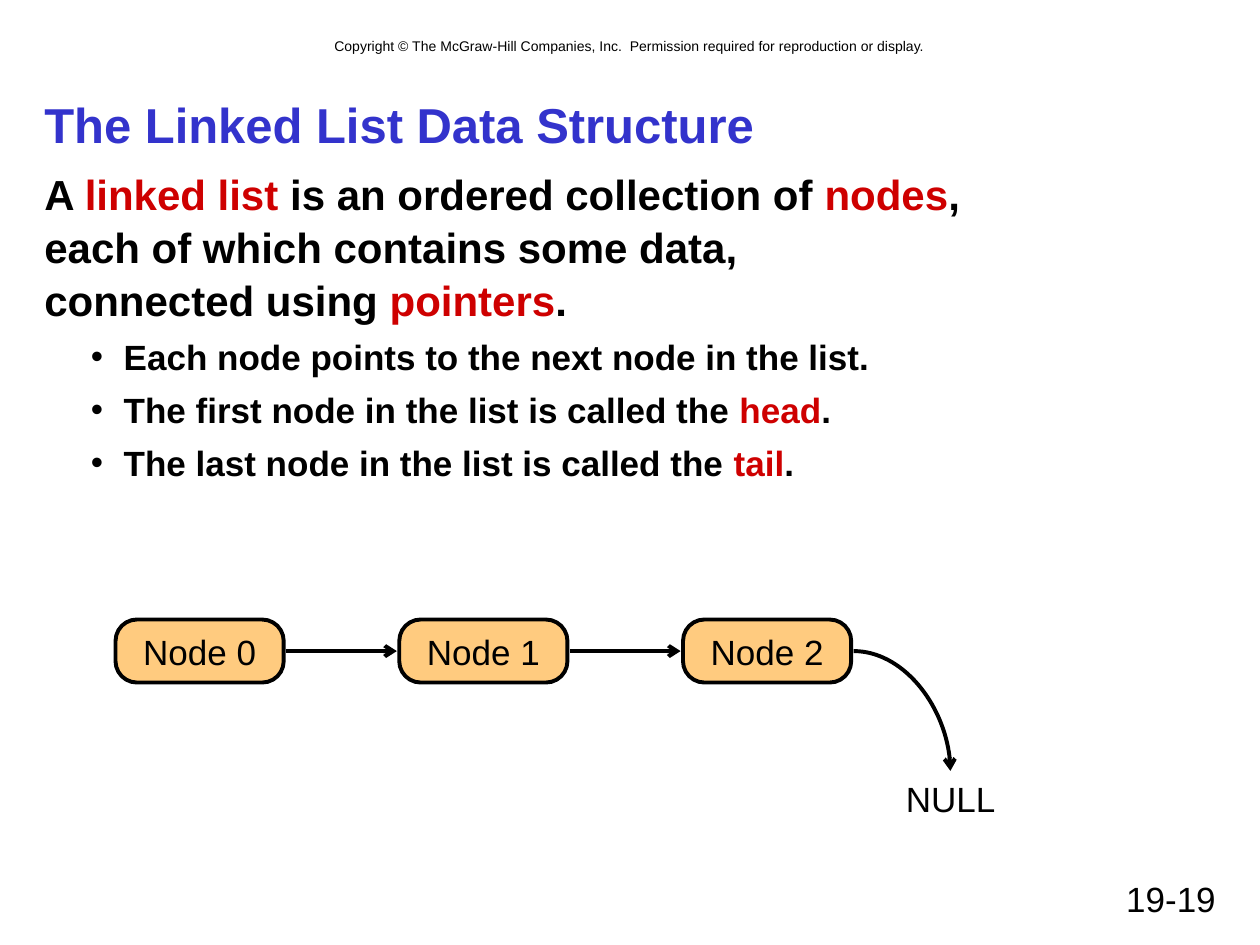
from dataclasses import dataclass
from lxml.etree import SubElement
from pptx import Presentation
from pptx.dml.color import RGBColor
from pptx.enum.shapes import MSO_CONNECTOR, MSO_SHAPE
from pptx.enum.text import MSO_ANCHOR, MSO_AUTO_SIZE, PP_ALIGN
from pptx.oxml.ns import qn
from pptx.util import Cm, Pt


@dataclass(frozen=True)
class Theme:
    font: str = "Arial"
    ink: RGBColor = RGBColor(0x00, 0x00, 0x00)
    title: RGBColor = RGBColor(0x33, 0x33, 0xCC)
    key: RGBColor = RGBColor(0xCE, 0x00, 0x00)
    node: RGBColor = RGBColor(0xFF, 0x99, 0x00)
    title_size: int = 28
    body_size: int = 24
    text_size: int = 20
    small_size: int = 8
    line: float = 2.25


T = Theme()


def add_run(p, text, size=T.text_size, color=T.ink, bold=False):
    r = p.add_run()
    r.text = text
    r.font.name, r.font.size, r.font.bold = T.font, Pt(size), bold
    r.font.color.rgb = color


def finish_line(c, preset):
    c.line.color.rgb, c.line.width = T.ink, Pt(T.line)
    SubElement(c.line._get_or_add_ln(), qn("a:tailEnd"), type="arrow")
    sp_pr = c._element.spPr
    sp_pr.find(qn("a:prstGeom")).set("prst", preset)
    SubElement(sp_pr, qn("a:effectLst"))


prs = Presentation()
prs.slide_width, prs.slide_height = Cm(25.4), Cm(19.05)
s = prs.slides.add_slide(prs.slide_layouts[1])

# Title
title = s.shapes.title
title.left, title.top, title.width, title.height = Cm(0.64), Cm(1.69), Cm(24.13), Cm(1.48)
tf = title.text_frame
tf.auto_size = MSO_AUTO_SIZE.NONE
tf.vertical_anchor = MSO_ANCHOR.MIDDLE
tf.margin_top, tf.margin_bottom = Cm(0.25), Cm(0.1)
p = tf.paragraphs[0]
p.alignment = PP_ALIGN.LEFT
add_run(p, "The Linked List Data Structure", T.title_size, T.title, True)

# Definition and bullets: lines of (text, is key term)
definition = [
    [("A ", False), ("linked list", True), (" is an ordered collection of ", False),
     ("nodes", True), (",", False)],
    [("each of which contains some data,", False)],
    [("connected using ", False), ("pointers", True), (".", False)],
]
bullets = [
    [("Each node points to the next node in the list.", False)],
    [("The first node in the list is called the ", False), ("head", True), (".", False)],
    [("The last node in the list is called the ", False), ("tail", True), (".", False)],
]
body = s.placeholders[1]
body.left, body.top, body.width, body.height = Cm(0.64), Cm(3.18), Cm(24.13), Cm(13.76)
tf = body.text_frame
tf.auto_size = MSO_AUTO_SIZE.NONE
tf.margin_top = Cm(0.17)
for i, lines in enumerate([definition] + [[b] for b in bullets]):
    p = tf.add_paragraph() if i else tf.paragraphs[0]
    p.line_spacing = 1.05
    p.space_before = Pt(5 if i else 0)
    p_pr = p._p.get_or_add_pPr()
    p_pr.set("marL", str(Cm(1.6) if i else 0))
    p_pr.set("indent", str(Cm(-0.66) if i else 0))
    if i:
        p.level = 1
        SubElement(p_pr, qn("a:buChar"), char="•")
    else:
        SubElement(p_pr, qn("a:buNone"))
    for n, line in enumerate(lines):
        if n:
            p.add_line_break()
        for text, is_key in line:
            add_run(p, text, T.text_size if i else T.body_size, T.key if is_key else T.ink, True)

# Copyright line, page number and end-of-list label
labels = [
    ("Copyright © The McGraw-Hill Companies, Inc.  Permission required for reproduction or display.",
     1.69, 0.64, 22.01, 0.61, T.small_size, PP_ALIGN.CENTER),
    ("19-19", 18.2, 17.57, 6.56, 1.06, T.text_size, PP_ALIGN.RIGHT),
    ("NULL", 18.01, 15.54, 2.31, 1.11, T.text_size, PP_ALIGN.CENTER),
]
for text, x, y, w, h, size, align in labels:
    tf = s.shapes.add_textbox(Cm(x), Cm(y), Cm(w), Cm(h)).text_frame
    tf.word_wrap = text != "NULL"
    p = tf.paragraphs[0]
    p.alignment = align
    add_run(p, text, size)

# Nodes, each but the last with an arrow to the next
NODES, LEFT, TOP, PITCH, WIDTH, HEIGHT, GAP = 3, 2.33, 12.49, 5.72, 3.39, 1.27, 0.05
mid = TOP + HEIGHT / 2
for i in range(NODES):
    x = LEFT + i * PITCH
    sp = s.shapes.add_shape(MSO_SHAPE.ROUNDED_RECTANGLE, Cm(x), Cm(TOP), Cm(WIDTH), Cm(HEIGHT))
    sp.adjustments[0] = 0.34
    sp.shadow.inherit = False
    sp.fill.solid()
    sp.fill.fore_color.rgb = T.node
    rgb = sp._element.spPr.find(qn("a:solidFill")).find(qn("a:srgbClr"))
    SubElement(rgb, qn("a:alpha"), val="50000")
    sp.line.color.rgb, sp.line.width = T.ink, Pt(T.line)
    tf = sp.text_frame
    tf.word_wrap = False
    tf.vertical_anchor = MSO_ANCHOR.MIDDLE
    p = tf.paragraphs[0]
    p.alignment = PP_ALIGN.CENTER
    add_run(p, f"Node {i}")
    start = x + WIDTH + GAP
    if i < NODES - 1:
        c = s.shapes.add_connector(MSO_CONNECTOR.STRAIGHT, Cm(start), Cm(mid),
                                   Cm(x + PITCH - GAP), Cm(mid))
        finish_line(c, "line")

# Curved arrow from the last node to NULL
c = s.shapes.add_connector(MSO_CONNECTOR.CURVE, Cm(start), Cm(mid), Cm(19.16), Cm(15.54))
finish_line(c, "curvedConnector2")

prs.save("out.pptx")
